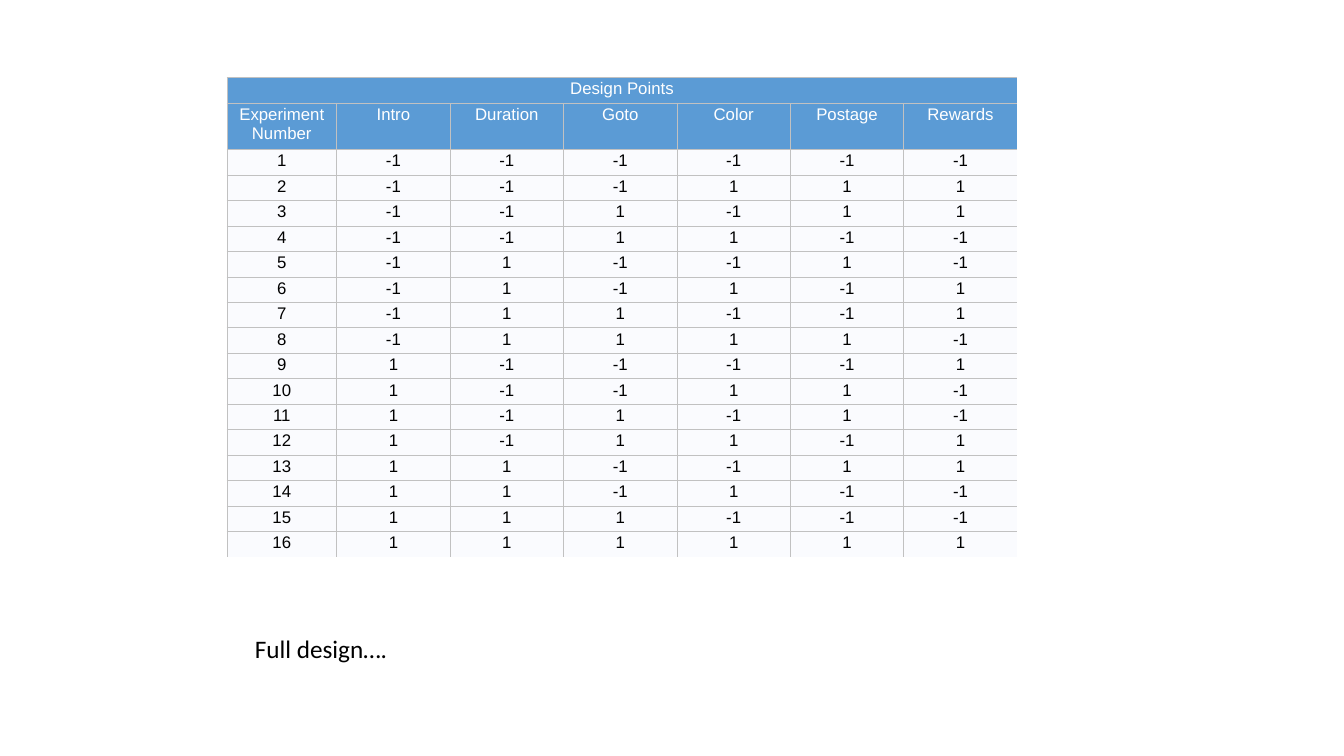
from dataclasses import dataclass
from itertools import product

from lxml.etree import SubElement
from pptx import Presentation
from pptx.dml.color import RGBColor
from pptx.enum.text import MSO_AUTO_SIZE, PP_ALIGN
from pptx.oxml.ns import qn
from pptx.table import Table, _Cell
from pptx.text.text import _Paragraph
from pptx.util import Inches, Pt

HEAD, BODY, GRID = "5B9BD5", "FAFBFE", "C1C1C1"
WHITE, BLACK = "FFFFFF", "000000"
LEFT, TOP, WIDTH, HEIGHT = 2.25, 0.77, 7.84, 4.76
FIRST, TALL, PAD = 1.09, 0.46, 0.02
NAMES = ["Experiment\nNumber", "Intro", "Duration", "Goto", "Color", "Postage", "Rewards"]


@dataclass(frozen=True)
class Style:
    """Look of a piece of text."""
    font: str
    size: int
    ink: str


@dataclass(frozen=True)
class Band:
    """One table row with its look."""
    texts: list[str]
    fill: str
    style: Style


def color(code: str) -> RGBColor:
    """Turn a hex string into a colour."""
    return RGBColor.from_string(code)


def write(para: _Paragraph, text: str, style: Style) -> None:
    """Add text to a paragraph, one run per line."""
    for num, line in enumerate(text.split("\n")):
        if num:
            para.add_line_break()
        run = para.add_run()
        run.text = line
        run.font.name = style.font
        run.font.size = Pt(style.size)
        run.font.color.rgb = color(style.ink)


def edge(cell: _Cell, side: str, shown: bool) -> None:
    """Draw or clear one border of a cell."""
    line = SubElement(cell._tc.get_or_add_tcPr(), qn(f"a:ln{side}"), w=str(Pt(0.5)))
    if shown:
        fill = SubElement(line, qn("a:solidFill"))
        SubElement(fill, qn("a:srgbClr"), val=GRID)
    else:
        SubElement(line, qn("a:noFill"))


def draw_band(table: Table, row: int, band: Band) -> None:
    """Fill one row of the table."""
    last_col, last_row = len(NAMES) - 1, len(table.rows) - 1
    for col in range(len(NAMES)):
        cell = table.cell(row, col)
        for side in "LRTB":
            open_side = (side == "R" and (row == 0 or col == last_col)
                         or side == "B" and row == last_row)
            edge(cell, side, not open_side)
        cell.fill.solid()
        cell.fill.fore_color.rgb = color(band.fill)
        cell.margin_left = cell.margin_right = Inches(PAD)
        cell.margin_top = cell.margin_bottom = Inches(PAD)
        if col < len(band.texts):
            para = cell.text_frame.paragraphs[0]
            para.alignment = PP_ALIGN.CENTER
            write(para, band.texts[col], style=band.style)


def design() -> list[list[str]]:
    """List the runs; the last two factors are products of the first four."""
    runs = []
    for num, (intro, span, goto, tint) in enumerate(product((-1, 1), repeat=4), 1):
        marks = (num, intro, span, goto, tint, span * goto * tint, intro * goto * tint)
        runs.append([str(mark) for mark in marks])
    return runs


def main() -> None:
    """Build and save the slide."""
    deck = Presentation()
    deck.slide_width, deck.slide_height = Inches(13.33), Inches(7.5)
    slide = deck.slides.add_slide(deck.slide_layouts[6])

    light, dark = Style("Arial", 12, WHITE), Style("Arial", 12, BLACK)
    bands = [Band(["Design Points"], HEAD, light), Band(NAMES, HEAD, light)]
    bands += [Band(texts, BODY, dark) for texts in design()]

    table = slide.shapes.add_table(len(bands), len(NAMES), Inches(LEFT), Inches(TOP),
                                   Inches(WIDTH), Inches(HEIGHT)).table
    for num, col in enumerate(table.columns):
        col.width = Inches((WIDTH - FIRST) / (len(NAMES) - 1) if num else FIRST)
    for num, row in enumerate(table.rows):
        row.height = Inches(TALL if num == 1 else (HEIGHT - TALL) / (len(bands) - 1))
    for num, band in enumerate(bands):
        draw_band(table, num, band)
    table.cell(0, 0).merge(table.cell(0, len(NAMES) - 1))

    note = slide.shapes.add_textbox(Inches(2.43), Inches(6.23), Inches(1.53), Inches(0.4))
    frame = note.text_frame
    frame.word_wrap = False
    frame.auto_size = MSO_AUTO_SIZE.SHAPE_TO_FIT_TEXT
    write(frame.paragraphs[0], "Full design….", Style("Calibri", 18, BLACK))
    deck.save("out.pptx")


main()
